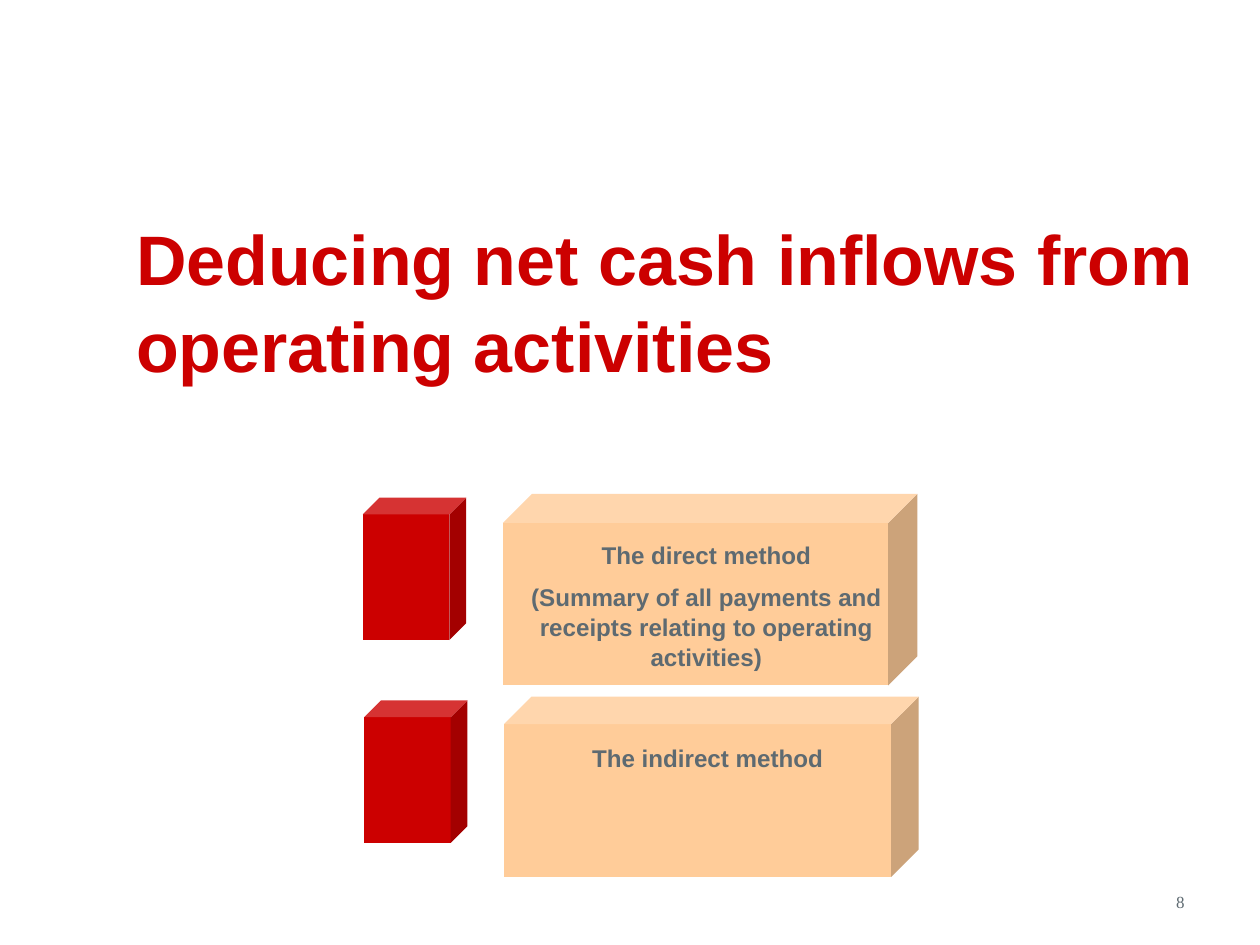
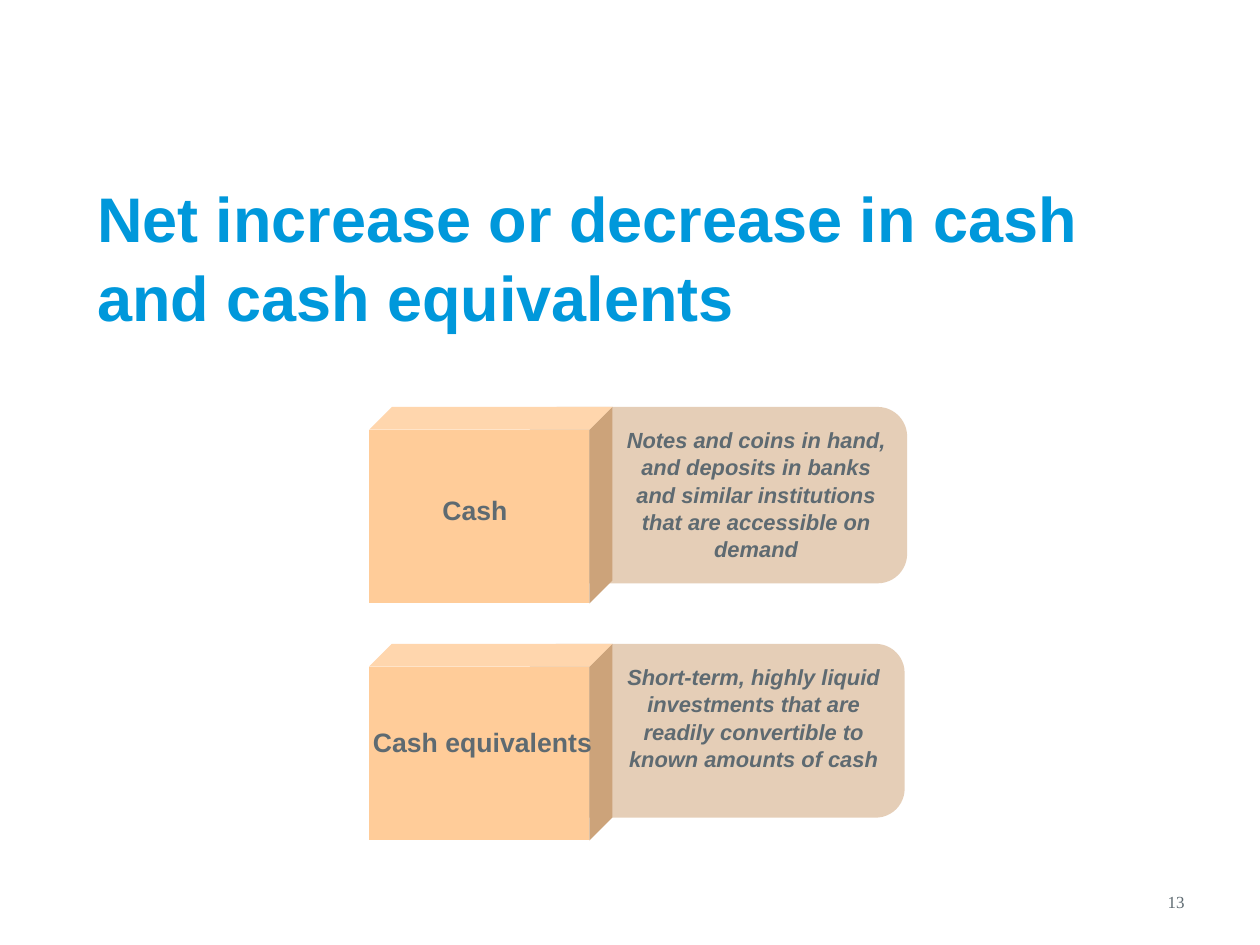
from pptx import Presentation
from pptx.dml.color import RGBColor
from pptx.enum.shapes import MSO_SHAPE
from pptx.enum.text import MSO_ANCHOR, MSO_AUTO_SIZE, PP_ALIGN
from pptx.util import Inches, Pt

CUBE, ROUNDED = MSO_SHAPE.CUBE, MSO_SHAPE.ROUNDED_RECTANGLE
LEFT, CENTER, RIGHT = PP_ALIGN.LEFT, PP_ALIGN.CENTER, PP_ALIGN.RIGHT
TOP, MIDDLE, BOTTOM = MSO_ANCHOR.TOP, MSO_ANCHOR.MIDDLE, MSO_ANCHOR.BOTTOM
NO_AUTOFIT = MSO_AUTO_SIZE.NONE
TITLE_ONLY = 5
LINE_SPACING = 1.04
COLORS = {"red": "CC0000", "blue": "0098DB", "peach": "FFCC99",
          "tan": "E5CEB7", "slate": "5E6A71"}


def write_text(shape, text, size, color="slate", font="Arial", bold=True,
               italic=False, align=CENTER, anchor=TOP):
    """Fill a shape with one paragraph per line of text, in one format."""
    frame = shape.text_frame
    frame.word_wrap = True
    frame.auto_size = NO_AUTOFIT
    frame.vertical_anchor = anchor
    frame.text = text
    for index, paragraph in enumerate(frame.paragraphs):
        paragraph.alignment = align
        paragraph.line_spacing = LINE_SPACING
        paragraph.space_before = Pt(size / 2 if index else 0)
        paragraph.font.name = font
        paragraph.font.size = Pt(size)
        paragraph.font.bold = bold
        paragraph.font.italic = italic
        paragraph.font.color.rgb = RGBColor.from_string(COLORS[color])


def add_text(slide, box, text, size, **text_format):
    """Add a text box at (left, top, width, height) in inches."""
    text_box = slide.shapes.add_textbox(*map(Inches, box))
    write_text(text_box, text, size, **text_format)


def add_block(slide, kind, box, color, adjustment):
    """Add a flat coloured preset shape without outline."""
    block = slide.shapes.add_shape(kind, *map(Inches, box))
    block.adjustments[0] = adjustment
    block.fill.solid()
    block.fill.fore_color.rgb = RGBColor.from_string(COLORS[color])
    block.line.fill.background()
    block.shadow.inherit = False


def add_titled_slide(presentation, title, box, size, color, number):
    """Add a slide with its title and page number."""
    slide = presentation.slides.add_slide(presentation.slide_layouts[TITLE_ONLY])
    placeholder = slide.shapes.title
    placeholder.left, placeholder.top, placeholder.width, placeholder.height = map(Inches, box)
    write_text(placeholder, title, size, color=color, align=LEFT, anchor=BOTTOM)
    add_text(slide, (7.17, 6.95, 2.33, 0.4), number, 9.7, font="Times New Roman",
             bold=False, align=RIGHT, anchor=MIDDLE)
    return slide


def add_method(slide, box, text):
    """Add a small red cube and a wide cube that carries a method."""
    left, top, width, height = box
    add_block(slide, CUBE, (left, top + 0.03, 0.82, 1.13), "red", 0.162)
    add_block(slide, CUBE, (left + 1.11, top, width - 1.11, height), "peach", 0.152)
    add_text(slide, (left + 1.18, top + 0.31, 3.09, height - 0.37), text, 13.8)


def add_definition(slide, box, panel_height, term, term_offset, definition):
    """Add a cube with a term in front of a panel with its definition."""
    left, top, width, height = box
    term_left, term_top = term_offset
    add_block(slide, ROUNDED, (left + 1.27, top, width - 1.27, panel_height), "tan", 0.167)
    add_block(slide, CUBE, (left, top, 1.93, height), "peach", 0.116)
    add_text(slide, (left + width - 2.36, top + 0.1, 2.32, 1.15), definition, 12.5,
             italic=True)
    add_text(slide, (left + term_left, top + term_top, 2, 0.36), term, 15.2)


def build_methods_slide(presentation):
    """Build the slide on the direct and indirect methods."""
    slide = add_titled_slide(
        presentation, "Deducing net cash inflows from operating activities",
        (0.98, 1.67, 8.83, 1.45), 40, "red", "8")
    add_method(slide, (2.88, 3.92, 4.4, 1.52),
               "The direct method\n"
               "(Summary of all payments and receipts relating to operating activities)")
    add_method(slide, (2.89, 5.53, 4.4, 1.43), "The indirect method")


def build_cash_slide(presentation):
    """Build the slide that defines cash and cash equivalents."""
    slide = add_titled_slide(
        presentation, "Net increase or decrease in cash and cash equivalents",
        (0.67, 1.61, 8.83, 1.09), 36, "blue", "13")
    add_definition(slide, (2.93, 3.23, 4.27, 1.56), 1.4, "Cash", (-0.16, 0.63),
                   "Notes and coins in hand, and deposits in banks and similar "
                   "institutions that are accessible on demand")
    add_definition(slide, (2.93, 5.11, 4.25, 1.56), 1.38, "Cash equivalents", (-0.1, 0.59),
                   "Short-term, highly liquid investments that are readily "
                   "convertible to known amounts of cash")


def main():
    """Build and save the presentation."""
    presentation = Presentation()
    presentation.slide_width = Inches(10)
    presentation.slide_height = Inches(7.5)
    build_methods_slide(presentation)
    build_cash_slide(presentation)
    presentation.save("out.pptx")


if __name__ == "__main__":
    main()
